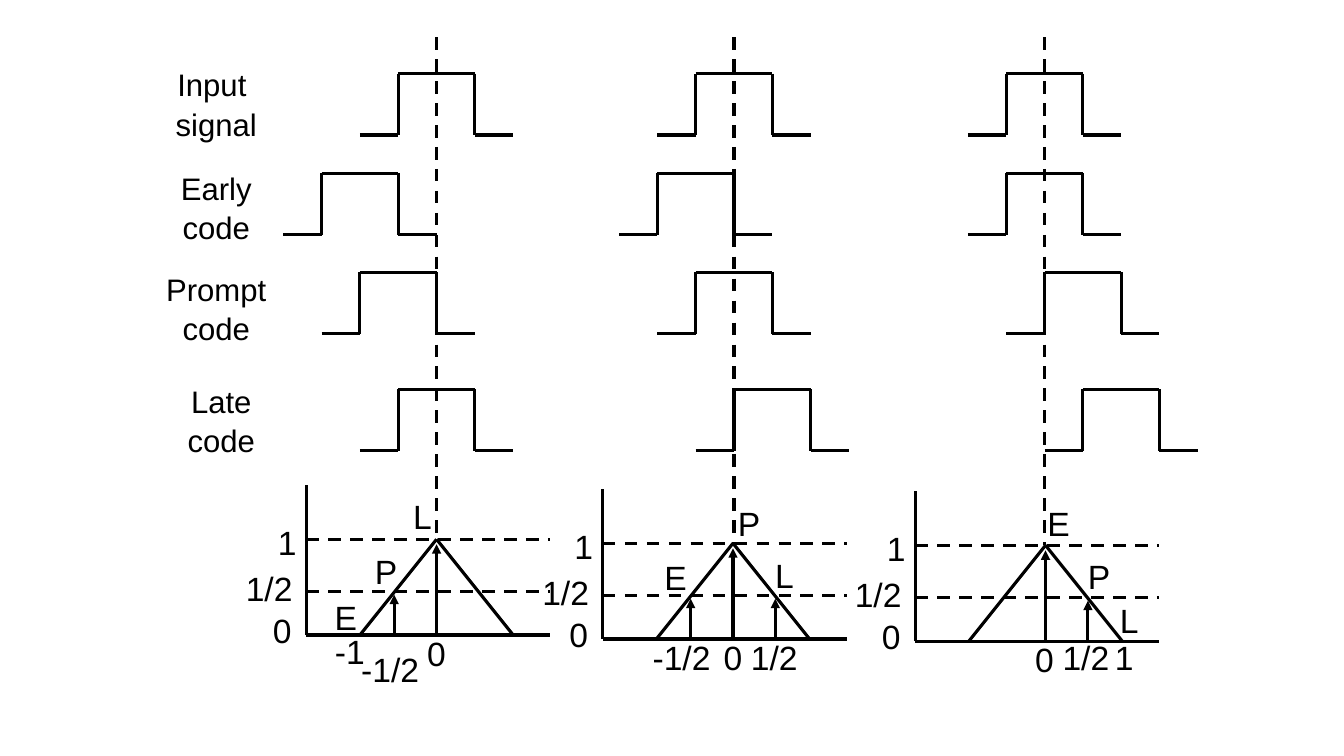
from pptx import Presentation
from pptx.dml.color import RGBColor
from pptx.enum.dml import MSO_LINE
from pptx.enum.shapes import MSO_CONNECTOR
from pptx.enum.text import MSO_ANCHOR, PP_ALIGN
from pptx.oxml.ns import qn
from pptx.util import Inches, Pt
from lxml.etree import SubElement

COLORS = {"ink": "000000"}
FONT = "Arial"

# Signal rows: label lines, label centre (x, y), top of the pulse
ROWS = [
    (["Input ", "signal"], 2.145, 1.02, 0.73),
    (["Early", "code"], 2.145, 2.05, 1.72),
    (["Prompt", "code"], 2.145, 3.05, 2.70),
    (["Late", "code"], 2.195, 4.16, 3.86),
]

# Each case: guide x, pulse shifts in half chips, plot origin,
# sides with a half-height arrow, plot labels as (text, centre x, centre y)
CASES = [
    {"guide": 4.33, "shifts": (0, -2, -1, 0), "origin": (3.04, 6.30), "sides": (-1,),
     "labels": [("L", 4.19, 5.12), ("P", 3.83, 5.66), ("E", 3.43, 6.12),
                ("0", 4.33, 6.48), ("-1/2", 3.87, 6.64), ("-1", 3.47, 6.46)]},
    {"guide": 7.28, "shifts": (0, -1, 0, 1), "origin": (5.98, 6.34), "sides": (-1, 1),
     "labels": [("L", 7.78, 5.70), ("P", 7.43, 5.19), ("E", 6.70, 5.72),
                ("0", 7.27, 6.52), ("-1/2", 6.76, 6.52), ("1/2", 7.68, 6.52)]},
    {"guide": 10.36, "shifts": (0, 0, 1, 2), "origin": (9.08, 6.36), "sides": (1,),
     "labels": [("L", 11.20, 6.15), ("P", 10.90, 5.71), ("E", 10.50, 5.19),
                ("0", 10.36, 6.54), ("1/2", 10.77, 6.52), ("1", 11.15, 6.52)]},
]

# Vertical axis labels, centred relative to the plot origin
AXIS_LABELS = [("1", -0.19, -0.92), ("1/2", -0.37, -0.47), ("0", -0.24, -0.05)]
LABEL_WIDTHS = {1: 0.44, 2: 0.52, 3: 0.74, 4: 0.8}

HALF_CHIP = 0.38
PULSE_HEIGHT = 0.61
PEAK_X, PEAK_HEIGHT, HALF_HEIGHT = 1.29, 0.95, 0.43
HALF_ARROW_X, AXIS_WIDTH, AXIS_HEIGHT = 0.42, 2.42, 1.49
GUIDE_TOP = 0.37

deck = Presentation()
deck.slide_width, deck.slide_height = Inches(13.33), Inches(7.5)
page = deck.slides.add_slide(deck.slide_layouts[6])


def add_line(x1, y1, x2, y2, dashed=False, arrow=False):
    line = page.shapes.add_connector(
        MSO_CONNECTOR.STRAIGHT, Inches(x1), Inches(y1), Inches(x2), Inches(y2))
    line.line.color.rgb = RGBColor.from_string(COLORS["ink"])
    line.line.width = Pt(2.25)
    if dashed:
        line.line.dash_style = MSO_LINE.DASH
    if arrow:
        SubElement(line.line._get_or_add_ln(), qn("a:tailEnd"), type="triangle")
    SubElement(line._element.spPr, qn("a:effectLst"))


def add_label(lines, x, y, width, height, size, spacing=1.0):
    box = page.shapes.add_textbox(
        Inches(x - width / 2), Inches(y - height / 2), Inches(width), Inches(height))
    frame = box.text_frame
    frame.word_wrap = True
    frame.vertical_anchor = MSO_ANCHOR.MIDDLE
    frame.margin_left = frame.margin_right = frame.margin_top = frame.margin_bottom = 0
    for index, text in enumerate(lines):
        para = frame.paragraphs[0] if index == 0 else frame.add_paragraph()
        para.text = text
        para.alignment = PP_ALIGN.CENTER
        para.line_spacing = spacing
        para.font.name = FONT
        para.font.size = Pt(size)
        para.font.color.rgb = RGBColor.from_string(COLORS["ink"])


def add_pulse(center, top):
    left, right, base = center - HALF_CHIP, center + HALF_CHIP, top + PULSE_HEIGHT
    add_line(left, top, right, top)
    for edge in (left, right):
        add_line(edge, top, edge, base)
    add_line(left - HALF_CHIP, base, left, base)
    add_line(right, base, right + HALF_CHIP, base)


def add_plot(left, base, sides, labels):
    peak, top = left + PEAK_X, base - PEAK_HEIGHT
    # Correlation triangle and axes
    for side in (-1, 1):
        add_line(peak + side * 2 * HALF_CHIP, base, peak, top)
    add_line(left, base, left + AXIS_WIDTH, base)
    add_line(left, base, left, base - AXIS_HEIGHT)
    # Level lines and arrows
    for height in (HALF_HEIGHT, PEAK_HEIGHT):
        add_line(left, base - height, left + AXIS_WIDTH, base - height, dashed=True)
    add_line(peak, base, peak, top + 0.05, arrow=True)
    for side in sides:
        x = peak + side * HALF_ARROW_X
        add_line(x, base, x, base - HALF_HEIGHT + 0.03, arrow=True)
    # Labels
    axis_labels = [(text, left + dx, base + dy) for text, dx, dy in AXIS_LABELS]
    for text, x, y in axis_labels + labels:
        add_label([text], x, y, LABEL_WIDTHS[len(text)], 0.39, 24)


# Row labels
for lines, x, y, top in ROWS:
    add_label(lines, x, y, 1.27, 0.78, 22.2, spacing=1.06)

# One column of pulses and one plot for each case
for case in CASES:
    left, base = case["origin"]
    add_line(case["guide"], GUIDE_TOP, case["guide"], base - PEAK_HEIGHT, dashed=True)
    for (lines, x, y, top), shift in zip(ROWS, case["shifts"]):
        add_pulse(case["guide"] + shift * HALF_CHIP, top)
    add_plot(left, base, case["sides"], case["labels"])

deck.save("out.pptx")
